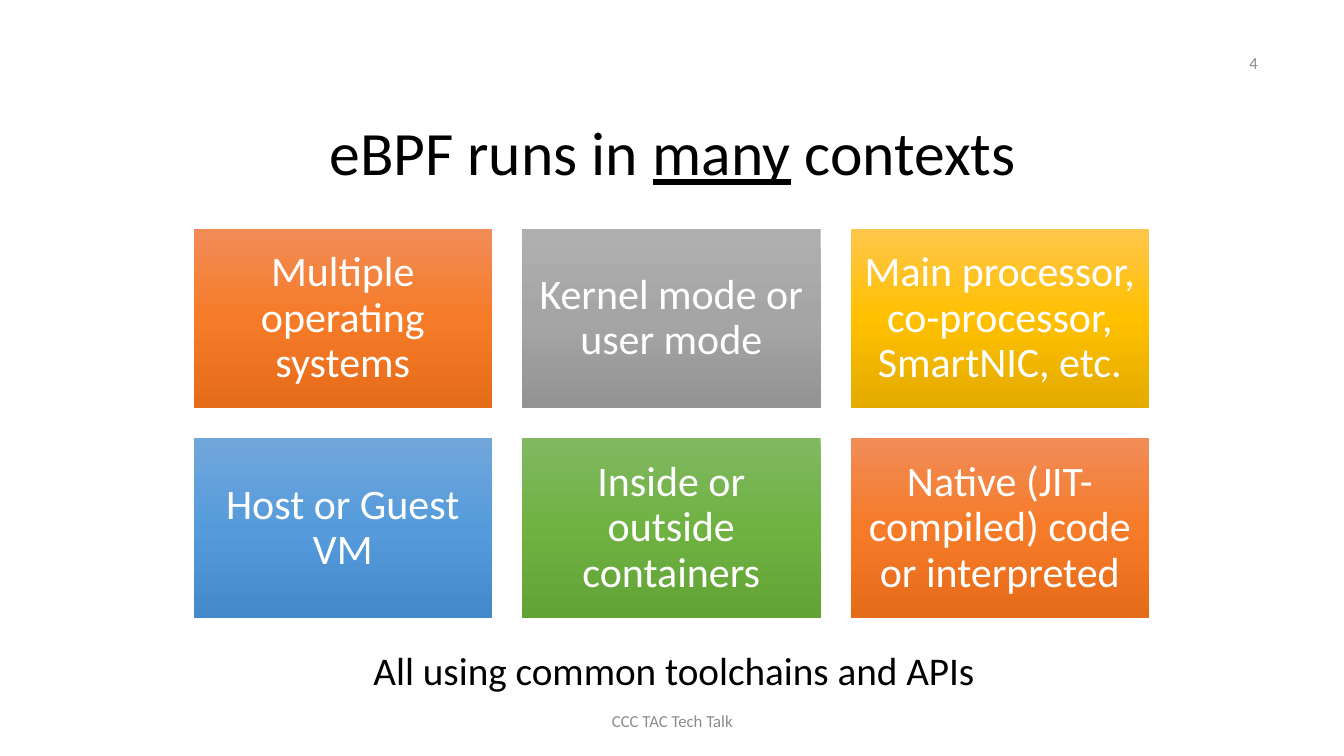
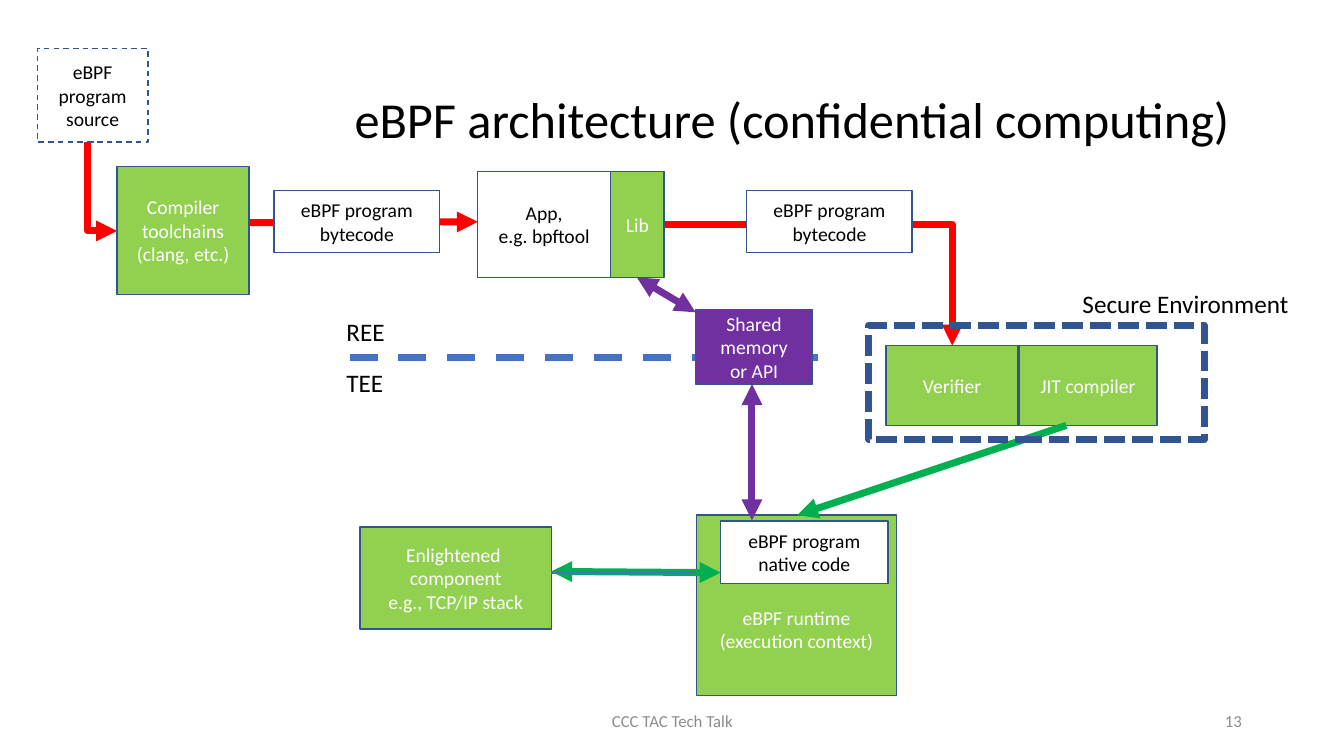
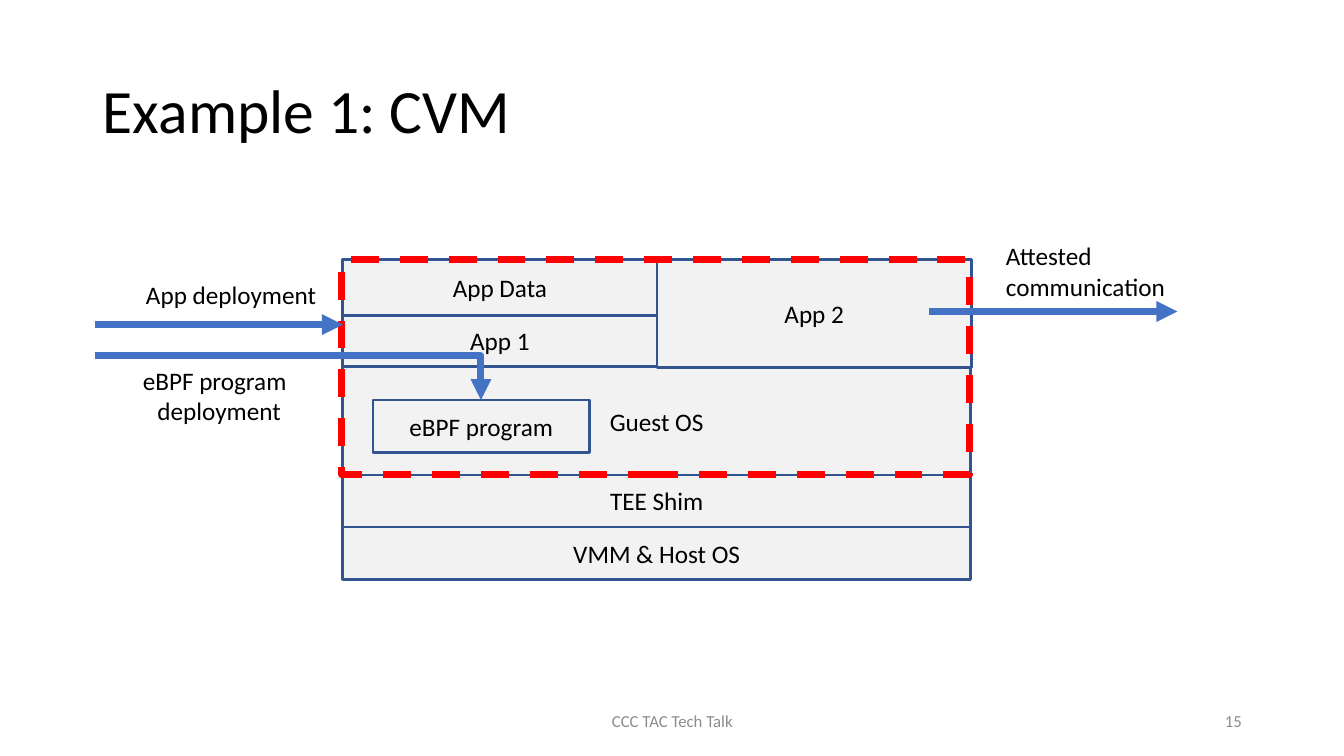
from copy import deepcopy

from lxml.etree import SubElement
from pptx import Presentation
from pptx.dml.color import RGBColor
from pptx.enum.dml import MSO_LINE
from pptx.enum.shapes import MSO_CONNECTOR, MSO_SHAPE
from pptx.enum.text import MSO_ANCHOR, MSO_AUTO_SIZE, PP_ALIGN
from pptx.oxml.ns import qn
from pptx.util import Cm, Pt

# Shared style (the layout grid below is in inches, converted by cm)
FONT = "Calibri"
BLACK, WHITE, GREY, PALE = "000000", "FFFFFF", "8C8C8C", "F2F2F2"
NAVY, BLUE, RED = "325491", "4472C4", "FF0000"
LIME, GREEN, PURPLE = "92D050", "00B050", "7030A0"
LEFT, CENTER, RIGHT = PP_ALIGN.LEFT, PP_ALIGN.CENTER, PP_ALIGN.RIGHT
DASH, SYS_DASH = MSO_LINE.DASH, MSO_LINE.SQUARE_DOT
FOOTER = "CCC TAC Tech Talk"
FOOTER_AT = (4.42, 6.95, 4.5, 0.4)
NUMBER_AT = (9.42, 6.95, 3, 0.4)

# Slide 1: contexts
ORANGE_FADE = ("F18C57", "F67B28", "E56C19")
CARDS = [
    ("Multiple operating systems", ORANGE_FADE),
    ("Kernel mode or user mode", ("AFAFAF", "A5A5A5", "939393")),
    ("Main processor, co-processor, SmartNIC, etc.", ("FFC64B", "FFC000", "E3AB00")),
    ("Host or Guest VM", ("71A6DB", "559BDB", "448ACA")),
    ("Inside or outside containers", ("81B861", "6FB242", "62A336")),
    ("Native (JIT-compiled) code or interpreted", ORANGE_FADE),
]
CARD_LEFT, CARD_TOP, CARD_W, CARD_H, CARD_GAP = 1.92, 2.27, 2.96, 1.78, 0.3

# Slide 2: architecture; boxes are (text, place, fill)
RUNTIME = ("eBPF runtime (execution context)", (6.91, 5.11, 1.99, 1.79), LIME)
BACK_BOXES = [
    ("Enlightened \vcomponent\ve.g., TCP/IP stack", (3.57, 5.23, 1.9, 1.01), LIME),
    ("Verifier", (8.79, 3.43, 1.31, 0.79), LIME),
    ("JIT compiler", (10.11, 3.43, 1.37, 0.79), LIME),
    ("App,\ve.g. bpftool", (4.74, 1.7, 1.32, 1.05), WHITE),
]
FRONT_BOXES = [
    ("eBPF program native code", (7.15, 5.17, 1.66, 0.62), WHITE),
    ("Shared memory\vor API", (6.9, 3.07, 1.16, 0.74), PURPLE),
    ("Lib", (6.06, 1.7, 0.53, 1.05), LIME),
    ("eBPF program bytecode", (7.41, 1.89, 1.64, 0.62), WHITE),
    ("eBPF program bytecode", (2.72, 1.89, 1.64, 0.62), WHITE),
    ("Compiler toolchains (clang, etc.)", (1.16, 1.65, 1.31, 1.27), LIME),
]
SOURCE = ("eBPF program source", (0.37, 0.48, 1.1, 0.93), WHITE)
# start, end, colour, line options
FLOWS = [
    ((3.47, 3.55), (8.3, 3.55), BLUE, dict(dash=DASH)),
    ((5.47, 5.67), (7.15, 5.68), GREEN, dict(head=True, tail=True)),
    ((5.47, 5.68), (6.91, 5.68), BLUE, dict(width=2)),
    ((6.58, 2.23), (9.45, 3.43), RED, dict(tail=True, bend="across")),
    ((10.58, 4.22), (7.91, 5.11), GREEN, dict(tail=True)),
    ((2.46, 2.21), (4.74, 2.2), RED, dict(tail=True)),
    ((6.32, 2.75), (6.9, 3.1), PURPLE, dict(head=True, tail=True)),
    ((7.46, 3.81), (7.46, 5.16), PURPLE, dict(head=True, tail=True)),
    ((0.87, 1.41), (1.16, 2.29), RED, dict(tail=True, bend="down")),
]
ZONES = [
    ("REE", (3.34, 3.09, 0.58, 0.4)),
    ("TEE", (3.34, 3.6, 0.57, 0.4)),
    ("Secure Environment", (10.64, 2.81, 2.64, 0.4)),
]
SECURE_FRAME = (8.62, 3.23, 3.33, 1.13)

# Slide 3: confidential VM
STACK = [
    ("VMM & Host OS", (3.4, 5.23, 6.23, 0.52)),
    ("TEE Shim", (3.4, 4.71, 6.23, 0.52)),
    ("Guest OS", (3.4, 3.64, 6.23, 1.07)),
    ("App 2", (6.52, 2.58, 3.12, 1.07)),
    ("App 1", (3.4, 3.12, 3.12, 0.52)),
    ("App Data", (3.4, 2.58, 3.12, 0.55)),
]
CVM_FRAME = (3.39, 2.58, 6.23, 2.13)
PROGRAM = ("eBPF program", (3.7, 3.97, 2.15, 0.52))
CVM_FLOWS = [
    ((9.22, 3.09), (11.68, 3.09), None),
    ((0.94, 3.22), (3.4, 3.22), None),
    ((0.94, 3.53), (4.77, 3.97), "across"),
]
CVM_LABELS = [
    ("Attested\ncommunication", (9.88, 2.34, 1.8, 0.71)),
    ("App deployment", (1.35, 2.72, 1.91, 0.4)),
    ("eBPF program\ndeployment ", (1.32, 3.57, 1.64, 0.71)),
]


def cm(*inches):
    return [Cm(round(v * 2.54, 2)) for v in inches]


def rgb(value):
    return RGBColor.from_string(value)


def style(tf, size, color, align, spacing=None):
    for p in tf.paragraphs:
        p.alignment = align
        if spacing:
            p.line_spacing = spacing
        for r in p.runs:
            r.font.name, r.font.size = FONT, Pt(size)
            r.font.color.rgb = rgb(color)


def add_text(s, text, at, size, color=BLACK, align=LEFT, anchor=MSO_ANCHOR.TOP, wrap=True):
    tf = s.shapes.add_textbox(*cm(*at)).text_frame
    tf.text, tf.word_wrap, tf.vertical_anchor = text, wrap, anchor
    if not wrap:
        tf.auto_size = MSO_AUTO_SIZE.SHAPE_TO_FIT_TEXT
    style(tf, size, color, align)
    return tf


def add_box(s, text, at, fill=None, line=NAVY, width=1, size=14, dash=None):
    sp = s.shapes.add_shape(MSO_SHAPE.RECTANGLE, *cm(*at))
    sp.shadow.inherit = False
    if fill:
        sp.fill.solid()
        sp.fill.fore_color.rgb = rgb(fill)
    else:
        sp.fill.background()
    if line:
        sp.line.color.rgb, sp.line.width = rgb(line), Pt(width)
        if dash:
            sp.line.dash_style = dash
    else:
        sp.line.fill.background()
    tf = sp.text_frame
    tf.text, tf.word_wrap, tf.vertical_anchor = text, True, MSO_ANCHOR.MIDDLE
    style(tf, size, BLACK if fill in (WHITE, PALE) else WHITE, CENTER)
    return sp


def fade(sp, colors):
    sp.fill.gradient()
    sp.fill.gradient_angle = 270
    first = sp._element.spPr.find(".//" + qn("a:gs"))
    first.addnext(deepcopy(first))
    for i, (stop, color) in enumerate(zip(sp.fill.gradient_stops, colors)):
        stop.position, stop.color.rgb = i / 2, rgb(color)


def add_line(s, start, end, color, width=5, dash=None, head=False, tail=False, bend=None):
    (x1, y1), (x2, y2) = start, end
    if bend == "down":  # a right-down elbow, mirrored and turned about its centre
        mx, my, w, h = (x1 + x2) / 2, (y1 + y2) / 2, x2 - x1, y2 - y1
        x1, y1, x2, y2 = mx + h / 2, my - w / 2, mx - h / 2, my + w / 2
    kind = MSO_CONNECTOR.ELBOW if bend else MSO_CONNECTOR.STRAIGHT
    c = s.shapes.add_connector(kind, *cm(x1, y1, x2, y2))
    c.line.color.rgb, c.line.width = rgb(color), Pt(width)
    if dash:
        c.line.dash_style = dash
    spPr = c._element.spPr
    if bend:
        spPr.find(qn("a:prstGeom")).set("prst", "bentConnector2")
    if bend == "down":
        spPr.find(qn("a:xfrm")).set("rot", str(270 * 60000))
    ln = spPr.find(qn("a:ln"))
    for tag, shown in (("a:headEnd", head), ("a:tailEnd", tail)):
        if shown:
            SubElement(ln, qn(tag)).set("type", "triangle")
    SubElement(spPr, qn("a:effectLst"))


def add_slide(title, at, number, size=44, align=LEFT, number_at=NUMBER_AT):
    s = prs.slides.add_slide(prs.slide_layouts[5])
    sp = s.shapes.title
    sp.left, sp.top, sp.width, sp.height = cm(*at)
    tf = sp.text_frame
    tf.vertical_anchor, tf.auto_size = MSO_ANCHOR.MIDDLE, MSO_AUTO_SIZE.NONE
    for text, underlined in title:
        r = tf.paragraphs[0].add_run()
        r.text, r.font.underline = text, underlined
    style(tf, size, BLACK, align, 0.9)
    add_text(s, FOOTER, FOOTER_AT, 12, GREY, CENTER, MSO_ANCHOR.MIDDLE)
    add_text(s, number, number_at, 12, GREY, RIGHT, MSO_ANCHOR.MIDDLE)
    return s


prs = Presentation()
prs.slide_width, prs.slide_height = cm(13.333, 7.5)

# Slide 1
s = add_slide([("eBPF runs in ", False), ("many", True), (" contexts", False)],
              (3.17, 0.84, 9.42, 1.41), "4", number_at=(9.58, 0.42, 3, 0.4))
for i, (text, colors) in enumerate(CARDS):
    row, col = divmod(i, 3)
    x = CARD_LEFT + col * (CARD_W + CARD_GAP)
    y = CARD_TOP + row * (CARD_H + CARD_GAP)
    sp = add_box(s, text, (x, y, CARD_W, CARD_H), line=None, size=30)
    fade(sp, colors)
    tf = sp.text_frame
    tf.margin_left, tf.margin_top, tf.margin_right, tf.margin_bottom = [Cm(0.3)] * 4
    tf.paragraphs[0].line_spacing = 0.9
add_text(s, "All using common toolchains and APIs", (1.9, 6.36, 9.57, 0.57), 28, align=CENTER)

# Slide 2
s = add_slide([("eBPF architecture (confidential computing)", False)],
              (3.15, 0.83, 9.42, 0.77), "13", 36, CENTER)
add_box(s, *RUNTIME).text_frame.margin_top = Cm(1.33)
for box in BACK_BOXES:
    add_box(s, *box)
for start, end, color, options in FLOWS:
    add_line(s, start, end, color, **options)
for box in FRONT_BOXES:
    add_box(s, *box)
add_box(s, *SOURCE, dash=DASH)
add_box(s, "", SECURE_FRAME, width=5, dash=SYS_DASH)
for text, at in ZONES:
    add_text(s, text, at, 18, wrap=False)

# Slide 3
s = add_slide([("Example 1: CVM", False)], (0.92, 0.4, 11.5, 1.45), "15")
for text, at in STACK:
    add_box(s, text, at, PALE, width=2, size=18)
add_box(s, "", CVM_FRAME, line=RED, width=5, dash=DASH)
add_box(s, *PROGRAM, PALE, width=2, size=18)
for start, end, bend in CVM_FLOWS:
    add_line(s, start, end, BLUE, tail=True, bend=bend)
for text, at in CVM_LABELS:
    tf = add_text(s, text, at, 18, wrap=False)
tf.paragraphs[-1].alignment = RIGHT  # "deployment" closes the last label

prs.save("out.pptx")
